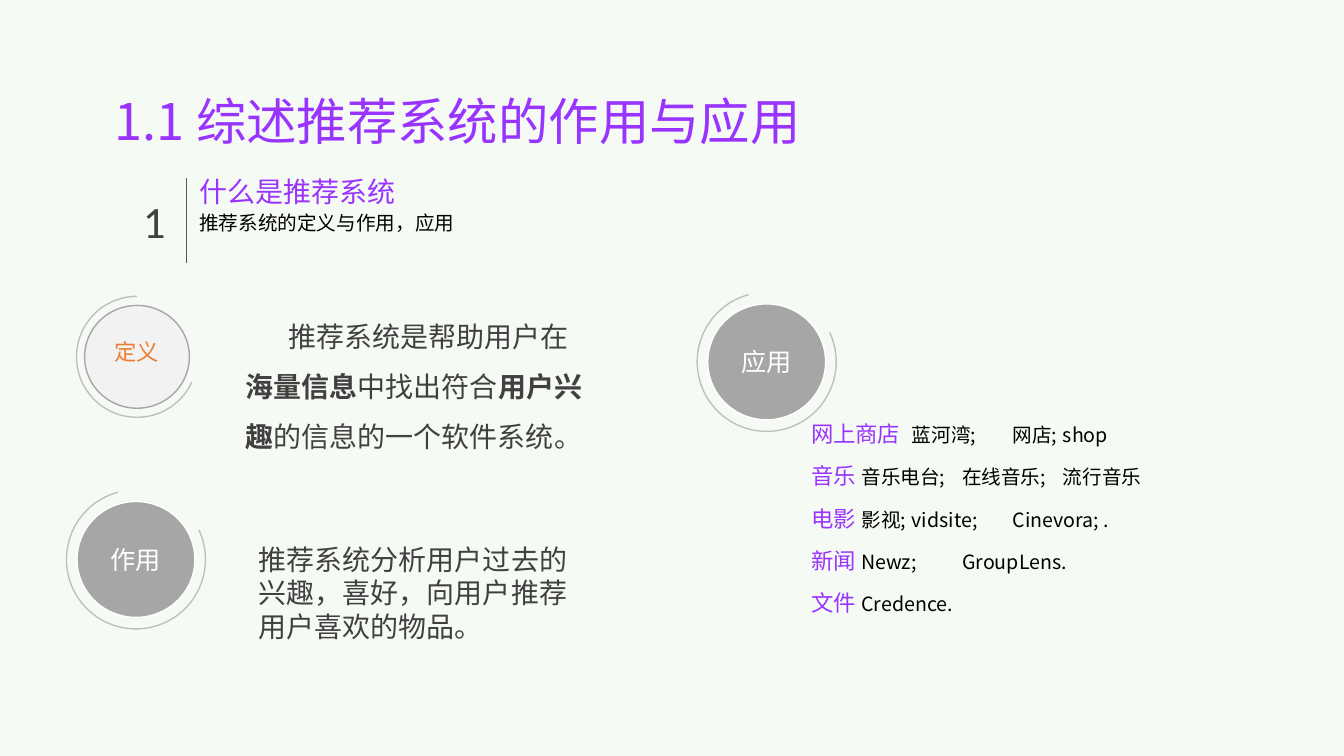
from lxml import etree
from pptx import Presentation
from pptx import util as u
from pptx.dml.color import RGBColor
from pptx.enum import shapes, text
from pptx.oxml import ns

Inches, Pt = u.Inches, u.Pt


class Theme:
    latin, cjk = "Calibri", "Noto Sans CJK SC"
    page, purple, orange = "F6FAF4", "9933FF", "ED7D31"
    black, dark, rule = "000000", "404040", "595959"
    white, pale, grey, ring = "FFFFFF", "F2F2F2", "A6A6A6", "BFBFBF"
    title, number, body, circle, label, small = 36, 32, 20, 18, 16, 14


def add_run(p, words, size, color, font=Theme.cjk, bold=False):
    r = p.add_run()
    r.text = words
    for name, value in dict(size=Pt(size), name=font, bold=bold).items():
        setattr(r.font, name, value)
    r.font.color.rgb = RGBColor.from_string(color)
    etree.SubElement(r._r.get_or_add_rPr(), ns.qn("a:ea"), typeface=Theme.cjk)


def prepare(sp, box=None, wrap=True, anchor=text.MSO_ANCHOR.TOP):
    """Place a shape, set its text frame and return the first paragraph."""
    if box:
        sp.left, sp.top, sp.width, sp.height = map(Inches, box)
    tf = sp.text_frame
    frame = dict(word_wrap=wrap, auto_size=text.MSO_AUTO_SIZE.NONE,
                 vertical_anchor=anchor)
    for name, value in frame.items():
        setattr(tf, name, value)
    p = tf.paragraphs[0]
    p.space_before = Pt(0)
    return p


prs = Presentation()
prs.slide_width, prs.slide_height = Inches(13.34), Inches(7.5)
s = prs.slides.add_slide(prs.slide_layouts[1])
s.background.fill.solid()
s.background.fill.fore_color.rgb = RGBColor.from_string(Theme.page)

# Title and section heading
p = prepare(s.shapes.title, (1.04, 0.84, 7.45, 0.7))
p.alignment = text.PP_ALIGN.LEFT
add_run(p, "1.1 综述推荐系统的作用与应用", Theme.title, Theme.purple)

headings = [
    ((1.32, 1.87, 0.44, 0.64), "1", Theme.number, Theme.dark, Theme.latin),
    ((1.88, 1.68, 2.26, 0.44), "什么是推荐系统", Theme.body, Theme.purple, Theme.cjk),
    ((1.88, 2.04, 4.34, 0.34), "推荐系统的定义与作用，应用", Theme.small,
     Theme.black, Theme.cjk),
]
for box, words, size, color, font in headings:
    p = prepare(s.shapes.add_textbox(0, 0, 0, 0), box, wrap=False)
    add_run(p, words, size, color, font)

divider = s.shapes.add_connector(shapes.MSO_CONNECTOR.STRAIGHT, Inches(1.85),
                                 Inches(1.77), Inches(1.85), Inches(2.61))
divider.line.color.rgb = RGBColor.from_string(Theme.rule)
divider.line.width = Pt(1)
etree.SubElement(divider._element.spPr, ns.qn("a:effectLst"))

# Circles, each inside an open ring: centre, radius, ring angles in degrees
large = dict(size=(1.17, 1.15), radius=0.69, angles=(335, 255), fill=Theme.grey,
             line=Theme.white, color=Theme.white, pt=Theme.circle, lift=0.05)
small = dict(size=(1.04, 1.02), radius=0.6, angles=(25, 270), fill=Theme.pale,
             line=Theme.grey, color=Theme.orange, pt=Theme.label, lift=0.15)
circles = [("定义", 1.36, 3.54, small), ("作用", 1.35, 5.55, large),
           ("应用", 7.61, 3.59, large)]
for words, x, y, look in circles:
    group = s.shapes.add_group_shape()
    width, height = look["size"]
    radius = look["radius"]
    ring = group.shapes.add_shape(
        shapes.MSO_SHAPE.ARC, Inches(x - radius), Inches(y - radius),
        Inches(2 * radius), Inches(2 * radius))
    for i, degrees in enumerate(look["angles"]):
        ring.adjustments[i] = degrees * 0.6
    ring.fill.background()
    disc = group.shapes.add_shape(
        shapes.MSO_SHAPE.OVAL, Inches(x - width / 2), Inches(y - height / 2),
        Inches(width), Inches(height))
    disc.fill.solid()
    disc.fill.fore_color.rgb = RGBColor.from_string(look["fill"])
    for sp, color in ((ring, Theme.ring), (disc, look["line"])):
        sp.shadow.inherit = False
        sp.line.color.rgb = RGBColor.from_string(color)
        sp.line.width = Pt(1)
    p = prepare(disc, anchor=text.MSO_ANCHOR.MIDDLE)
    disc.text_frame.margin_bottom = Inches(look["lift"])
    p.alignment = text.PP_ALIGN.CENTER
    add_run(p, words, look["pt"], look["color"], Theme.latin)

# Definition and purpose
p = prepare(s.shapes.add_textbox(0, 0, 0, 0), (2.34, 2.95, 3.61, 1.6))
p.line_spacing = 1.5
p._p.get_or_add_pPr().set("indent", str(Inches(0.42)))
definition = [("推荐系统是帮助用户在", False), ("海量信息", True), ("中找出符合", False),
              ("用户兴趣", True), ("的信息的一个软件系统。", False)]
for words, bold in definition:
    add_run(p, words, Theme.body, Theme.dark, bold=bold)

p = prepare(s.shapes.add_textbox(0, 0, 0, 0), (2.47, 5.33, 3.48, 1.44))
add_run(p, "推荐系统分析用户过去的兴趣，喜好，向用户推荐用户喜欢的物品。",
        Theme.body, Theme.dark)

# Applications: label, then examples at tab stops
applications = [
    ("网上商店", [("蓝河湾;", 1.31), ("网店;", 2.27), ("shop", 2.89)]),
    ("音乐", [("音乐电台;", 1.25), ("在线音乐;", 2.22), ("流行音乐", 3.28)]),
    ("电影", [("影视;", 1.24), ("vidsite;", 1.86), ("Cinevora; .", 2.8)]),
    ("新闻", [("Newz;", 1.33), ("GroupLens.", 1.92)]),
    ("文件", [("Credence.", 1.34)]),
]
body = s.placeholders[1]
p = prepare(body, (7.95, 4.12, 4.53, 2.5))
for row, (label, examples) in enumerate(applications):
    if row:
        p = body.text_frame.add_paragraph()
        p.space_before = Pt(11)
    pPr = p._p.get_or_add_pPr()
    pPr.set("marL", "0")
    pPr.set("indent", "0")
    etree.SubElement(pPr, ns.qn("a:buNone"))
    tabs = etree.SubElement(pPr, ns.qn("a:tabLst"))
    for example, stop in examples:
        etree.SubElement(tabs, ns.qn("a:tab"), pos=str(Inches(stop)), algn="l")
    add_run(p, label, Theme.label, Theme.purple)
    for example, stop in examples:
        add_run(p, "\t" + example, Theme.small, Theme.black)

prs.save("out.pptx")
